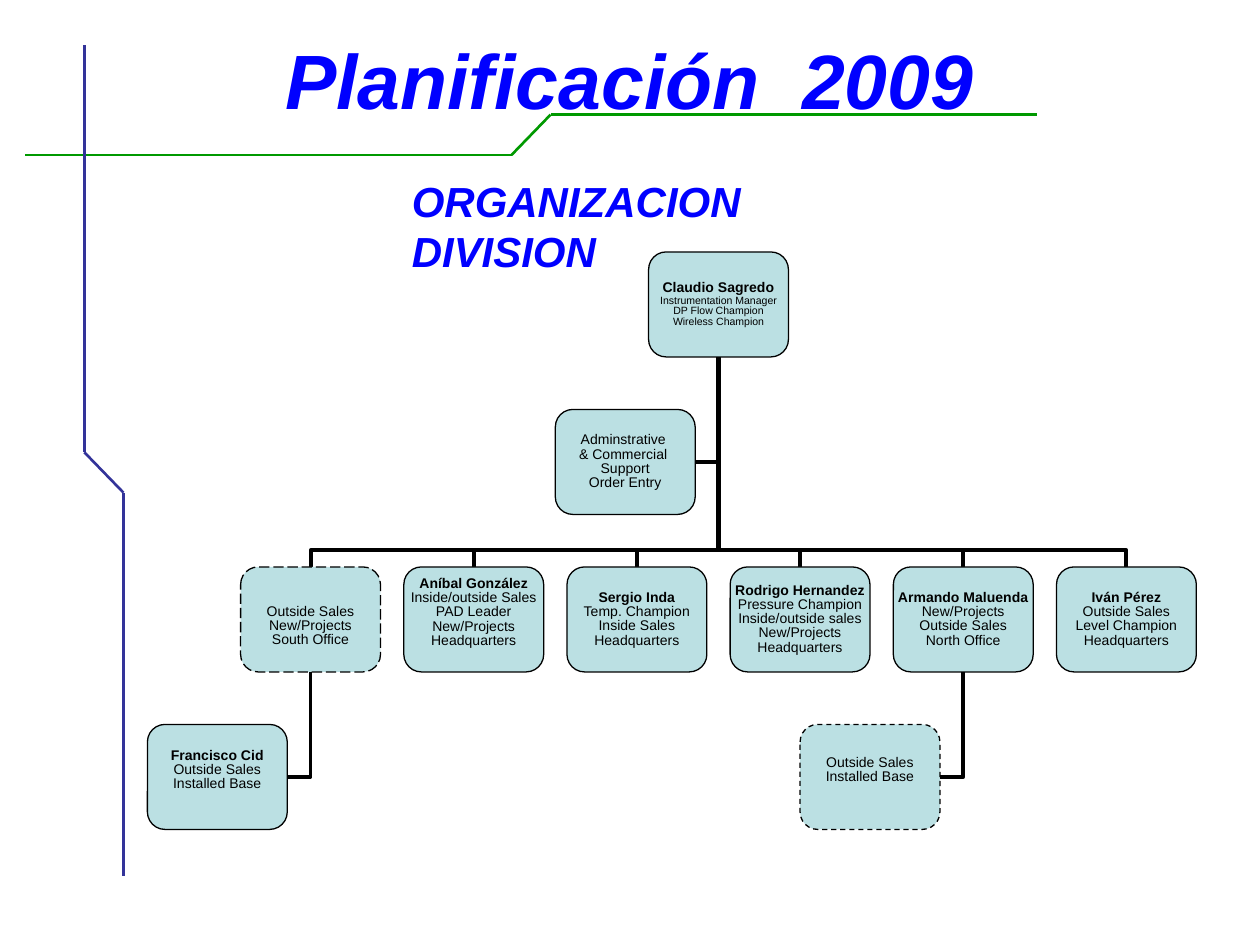
from lxml.etree import SubElement
from pptx import Presentation
from pptx.dml.color import RGBColor
from pptx.enum.dml import MSO_LINE
from pptx.enum.shapes import MSO_CONNECTOR, MSO_SHAPE
from pptx.enum.text import MSO_ANCHOR, MSO_AUTO_SIZE, PP_ALIGN
from pptx.oxml.ns import qn
from pptx.util import Inches, Pt

BLACK = RGBColor(0x00, 0x00, 0x00)
BLUE = RGBColor(0x00, 0x00, 0xFF)
GREEN = RGBColor(0x00, 0x99, 0x00)
INDIGO = RGBColor(0x33, 0x33, 0x99)
PALE_TEAL = RGBColor(0xBB, 0xE0, 0xE3)

COLUMNS, ROWS = 100, 75      # page grid, a tenth of an inch each way
BOX_WIDTH, BOX_HEIGHT = 11.1, 8.33
CHART_LEFT, CHART_TOP = 19.1, 20
STEP = BOX_WIDTH / 6         # boxes are six steps wide, with one step between
LEVEL = 12.5                 # from one row of boxes to the next
BUS_GAP = 1.32               # from the horizontal bus down to the boxes
TEXT_LINE = 1.09             # height of one line of box text


class OrgSlide:
    font = "Arial"

    def __init__(self, deck):
        self.page = deck.slides.add_slide(deck.slide_layouts[6])
        self.cell_width = deck.slide_width / COLUMNS
        self.cell_height = deck.slide_height / ROWS

    def across(self, columns):
        return round(columns * self.cell_width)

    def down(self, rows):
        return round(rows * self.cell_height)

    def add_span(self, para, text, size, color=BLACK, bold=False, italic=False):
        span = para.add_run()
        span.text = text
        span.font.name, span.font.size = self.font, Pt(size)
        span.font.bold, span.font.italic = bold, italic
        span.font.color.rgb = color

    def connector(self, kind, start, end, color, width):
        line = self.page.shapes.add_connector(
            kind, self.across(start[0]), self.down(start[1]),
            self.across(end[0]), self.down(end[1]))
        line.line.color.rgb, line.line.width = color, Pt(width)
        SubElement(line.element.spPr, qn("a:effectLst"))
        return line

    def rule(self, points, color):
        for start, end in zip(points, points[1:]):
            self.connector(MSO_CONNECTOR.STRAIGHT, start, end, color, 1.5)

    def side_link(self, start, end):
        """Run sideways from start, then turn once up to end."""
        link = self.connector(MSO_CONNECTOR.ELBOW, start, end, BLACK, 2.25)
        link.element.spPr.find(qn("a:prstGeom")).set("prst", "bentConnector2")

    def bus_link(self, child, parent):
        """Rise from child to the bus, follow it, then rise to parent."""
        (x, y), (parent_x, parent_y) = child, parent
        rise, run = y - parent_y, abs(parent_x - x)
        middle_x, middle_y = (x + parent_x) / 2, (y + parent_y) / 2
        # The elbow is laid out sideways and then turned a quarter.
        side = 1 if x < parent_x else -1
        link = self.connector(
            MSO_CONNECTOR.ELBOW,
            (middle_x + side * rise / 2, middle_y + run / 2),
            (middle_x - side * rise / 2, middle_y - run / 2), BLACK, 2.25)
        properties = link.element.spPr
        properties.find(qn("a:xfrm")).set("rot", str((90 if side == 1 else 270) * 60000))
        guides = properties.find(qn("a:prstGeom")).get_or_add_avLst()
        SubElement(guides, qn("a:gd"), name="adj1",
                   fmla=f"val {round(BUS_GAP / rise * 100000)}")

    def heading(self, text, left, top, width, height, size, centred):
        box = self.page.shapes.add_textbox(self.across(left), self.down(top),
                                           self.across(width), self.down(height))
        frame = box.text_frame
        frame.word_wrap = centred
        if centred:
            frame.vertical_anchor = MSO_ANCHOR.MIDDLE
        else:
            frame.auto_size = MSO_AUTO_SIZE.SHAPE_TO_FIT_TEXT
        para = frame.paragraphs[0]
        para.alignment = PP_ALIGN.CENTER if centred else PP_ALIGN.LEFT
        self.add_span(para, text, size, BLUE, bold=True, italic=True)

    def person(self, corner, name, duties, size=8, dash=None, lift=0):
        """Draw one box; lift moves its text up by half that many lines."""
        box = self.page.shapes.add_shape(
            MSO_SHAPE.ROUNDED_RECTANGLE, self.across(corner[0]), self.down(corner[1]),
            self.across(BOX_WIDTH), self.down(BOX_HEIGHT))
        box.shadow.inherit = False
        box.fill.solid()
        box.fill.fore_color.rgb = PALE_TEAL
        box.line.color.rgb, box.line.width = BLACK, Pt(0.75)
        if dash:
            box.line.dash_style = dash
        frame = box.text_frame
        frame.word_wrap = False
        frame.vertical_anchor = MSO_ANCHOR.MIDDLE
        frame.margin_left = frame.margin_right = 0
        frame.margin_top = self.down(max(-lift, 0) * TEXT_LINE)
        frame.margin_bottom = self.down(max(lift, 0) * TEXT_LINE)
        lines = [(name, 8, True)] if name else []
        lines += [(duty, size, False) for duty in duties]
        for index, (text, points, bold) in enumerate(lines):
            para = frame.add_paragraph() if index else frame.paragraphs[0]
            para.alignment, para.line_spacing = PP_ALIGN.CENTER, 0.85
            self.add_span(para, text, points, bold=bold)


def corner(steps, level):
    return CHART_LEFT + steps * STEP, CHART_TOP + level * LEVEL


def top_middle(place):
    return place[0] + BOX_WIDTH / 2, place[1]


def bottom_middle(place):
    return place[0] + BOX_WIDTH / 2, place[1] + BOX_HEIGHT


def right_middle(place):
    return place[0] + BOX_WIDTH, place[1] + BOX_HEIGHT / 2


TEAM = [
    ("", ["Outside Sales", "New/Projects", "South Office"],
     {"dash": MSO_LINE.LONG_DASH, "lift": -1}),
    ("Aníbal González", ["Inside/outside Sales", "PAD Leader", "New/Projects",
                         "Headquarters"], {"lift": 1}),
    ("Sergio Inda", ["Temp. Champion", "Inside Sales", "Headquarters"], {}),
    ("Rodrigo Hernandez", ["Pressure Champion", "Inside/outside sales",
                           "New/Projects", "Headquarters"], {}),
    ("Armando Maluenda", ["New/Projects", "Outside Sales", "North Office"], {}),
    ("Iván Pérez", ["Outside Sales", "Level Champion", "Headquarters"], {}),
]
INSTALLED_BASE = ["Outside Sales", "Installed Base"]


def main():
    deck = Presentation()
    deck.slide_width, deck.slide_height = Inches(10), Inches(7.5)
    slide = OrgSlide(deck)

    slide.rule([(2, 12.3), (40.6, 12.3), (43.7, 9.1), (82.3, 9.1)], GREEN)
    slide.rule([(6.7, 3.6), (6.7, 35.9), (9.8, 39.1), (9.8, 69.5)], INDIGO)
    slide.heading("Planificación  2009", 5, 0, 90, 12.5, 44, centred=True)

    manager = corner(17.5, 0)
    team = [corner(7 * index, 2) for index in range(len(TEAM))]
    south, north = team[0], team[4]
    # Each assistant hangs four steps to the left of the box it reports to.
    support, south_base, north_base = corner(13.5, 1), corner(-4, 3), corner(24, 3)

    for assistant, boss in [(support, manager), (north_base, north), (south_base, south)]:
        slide.side_link(right_middle(assistant), bottom_middle(boss))
    for place in reversed(team):
        slide.bus_link(top_middle(place), bottom_middle(manager))

    slide.person(manager, "Claudio Sagredo", ["Instrumentation Manager",
                 "DP Flow Champion", "Wireless Champion"], size=6)
    for place, (name, duties, style) in zip(team, TEAM):
        slide.person(place, name, duties, **style)
    slide.person(south_base, "Francisco Cid", INSTALLED_BASE, lift=1)
    slide.person(north_base, "", INSTALLED_BASE, dash=MSO_LINE.DASH, lift=1)
    slide.person(support, "", ["Adminstrative ", "& Commercial ", "Support", "Order Entry"])
    slide.heading("ORGANIZACION DIVISION", 31.7, 13.4, 43.6, 5, 24, centred=False)

    deck.save("out.pptx")


if __name__ == "__main__":
    main()
